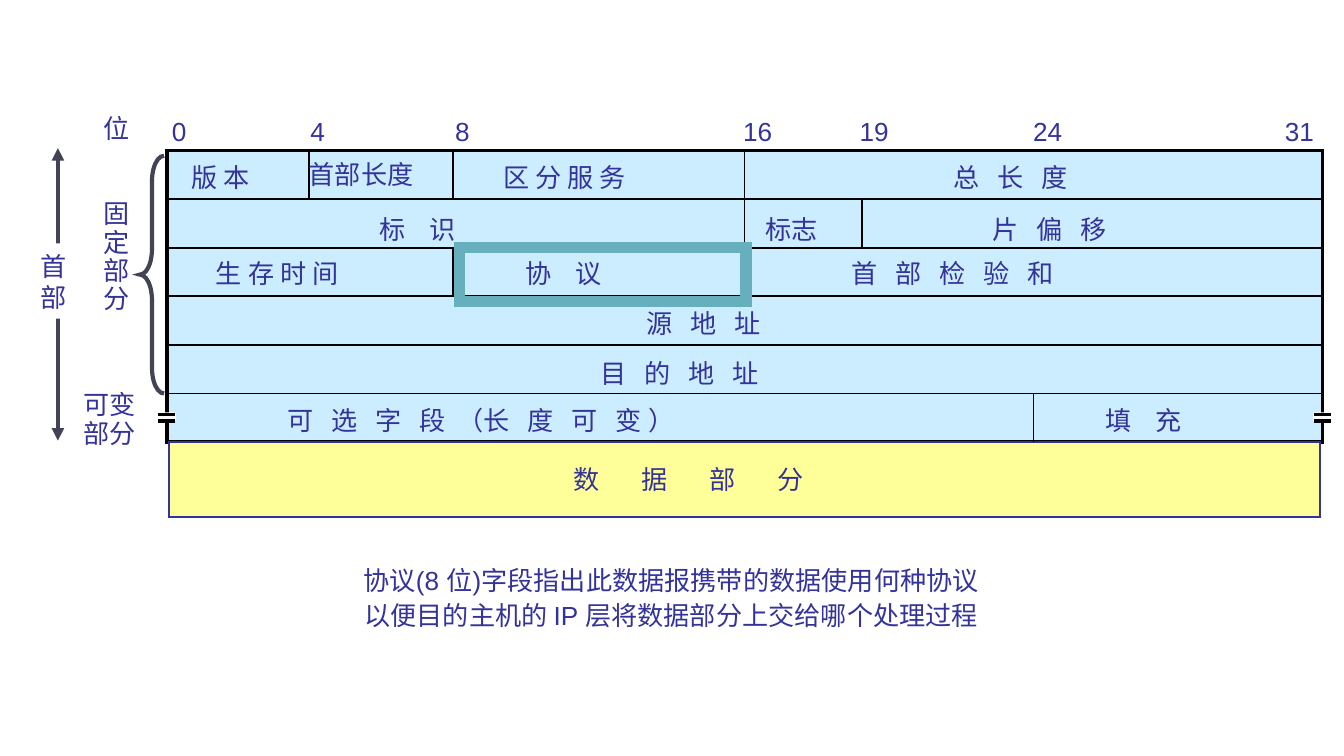
from dataclasses import dataclass
from typing import Optional

from lxml.etree import SubElement
from pptx import Presentation
from pptx.dml.color import RGBColor
from pptx.enum.shapes import MSO_CONNECTOR, MSO_SHAPE
from pptx.enum.text import MSO_ANCHOR, MSO_AUTO_SIZE, PP_ALIGN
from pptx.oxml.ns import qn
from pptx.util import Inches, Pt

COLORS = {
    "text": "333399", "header": "CCECFF", "data": "FFFF99", "grid": "000000",
    "bracket": "424456", "highlight": "67AFBD", "white": "FFFFFF",
}
FONT = {"name": "Arial", "size": Pt(14)}
FRAME = {
    "margin_left": Inches(0.1), "margin_right": Inches(0.1),
    "margin_top": Inches(0.05), "margin_bottom": Inches(0.05),
    "vertical_anchor": MSO_ANCHOR.TOP, "auto_size": MSO_AUTO_SIZE.SHAPE_TO_FIT_TEXT,
}
LEFT, TOP, WIDTH, HEIGHT = 1.24, 1.12, 8.6, 2.17
BITS, ROWS = 32, 6
SPACE_PT = 3.2


@dataclass
class Label:
    text: str
    col: float
    row: float
    cols: float
    rows: float = 0.91
    gap: int = 1
    spacing: float = 1.0
    align: PP_ALIGN = PP_ALIGN.LEFT
    wrap: bool = False
    fill: Optional[str] = None


@dataclass
class Box:
    col: float
    row: float
    cols: float
    rows: float
    fill: Optional[str] = None
    line: Optional[str] = None
    weight: float = 1
    shape: MSO_SHAPE = MSO_SHAPE.RECTANGLE


@dataclass
class Rule:
    col1: float
    row1: float
    col2: float
    row2: float
    color: str = "grid"
    weight: float = 1


LABELS = [
    Label("首\n部", -3.87, 1.91, 1.45, 1.55, fill="white"),
    Label("位", -2.12, -0.91, 1.45),
    Label("固\n定\n部\n分", -2.12, 0.91, 1.45, 2.6, spacing=0.9),
    Label("可变\n部分", -2.68, 4.84, 2.2, 1.44, spacing=0.9),
    Label("版 本", 0.33, 0.08, 2.57),
    Label("首部长度", 3.57, 0.03, 3.65),
    Label("区 分 服 务", 8.97, 0.08, 4.73),
    Label("总 长 度", 21.43, 0.08, 5.1, gap=3),
    Label("标 识", 5.54, 1.16, 3.65, gap=4),
    Label("标志", 16.22, 1.16, 2.2),
    Label("片 偏 移", 22.51, 1.16, 5.1, gap=3),
    Label("生 存 时 间", 1, 2.07, 4.73),
    Label("协 议", 9.56, 2.07, 3.65, gap=4),
    Label("首 部 检 验 和", 18.6, 2.07, 8.71, gap=3),
    Label("源 地 址", 12.91, 3.1, 5.1, gap=3),
    Label("目 的 地 址", 11.65, 4.12, 6.92, gap=3),
    Label("可 选 字 段 （长 度 可 变）", 2.98, 5.09, 15.26, gap=3),
    Label("填 充", 25.64, 5.09, 3.65, gap=4),
    Label("数 据 部 分", 10.9, 6.3, 11.83, gap=7, wrap=True),
    Label("协议(8 位)字段指出此数据报携带的数据使用何种协议\n"
          "以便目的主机的 IP 层将数据部分上交给哪个处理过程",
          4.73, 8.32, 18.49, 1.71, spacing=1.1, align=PP_ALIGN.CENTER),
]
TICKS = {"0": 0.16, "4": 3.99, "8": 8, "16": 15.97, "19": 19.2, "24": 24, "31": 30.97}
LABELS += [Label(text, bit - 0.38, -0.86, 1.15 if len(text) == 1 else 1.56)
           for text, bit in TICKS.items()]


def rgb(name: str) -> RGBColor:
    return RGBColor.from_string(COLORS[name])


def x(col: float) -> int:
    return Inches(LEFT + col * WIDTH / BITS)


def y(row: float) -> int:
    return Inches(TOP + row * HEIGHT / ROWS)


def area(item) -> tuple:
    left, top = x(item.col), y(item.row)
    return left, top, x(item.col + item.cols) - left, y(item.row + item.rows) - top


def draw_box(shapes, box: Box):
    sp = shapes.add_shape(box.shape, *area(box))
    sp.shadow.inherit = False
    if box.fill:
        sp.fill.solid()
        sp.fill.fore_color.rgb = rgb(box.fill)
    else:
        sp.fill.background()
    if box.line:
        sp.line.color.rgb = rgb(box.line)
        sp.line.width = Pt(box.weight)
        SubElement(sp.line._get_or_add_ln(), qn("a:miter"), lim="800000")
    else:
        sp.line.fill.background()
    return sp


def draw_rule(shapes, rule: Rule):
    line = shapes.add_connector(MSO_CONNECTOR.STRAIGHT, x(rule.col1), y(rule.row1),
                                x(rule.col2), y(rule.row2))
    line.line.color.rgb = rgb(rule.color)
    line.line.width = Pt(rule.weight)
    SubElement(line._element.spPr, qn("a:effectLst"))
    return line


def draw_label(shapes, label: Label) -> None:
    sp = shapes.add_textbox(*area(label))
    if label.fill:
        sp.fill.solid()
        sp.fill.fore_color.rgb = rgb(label.fill)
    tf = sp.text_frame
    for name, value in FRAME.items():
        setattr(tf, name, value)
    tf.word_wrap = label.wrap
    for i, text in enumerate(label.text.split("\n")):
        p = tf.add_paragraph() if i else tf.paragraphs[0]
        p.alignment = label.align
        p.line_spacing = label.spacing
        for part in filter(None, text.partition(" （")):
            r = p.add_run()
            r.text = part
            for name, value in FONT.items():
                setattr(r.font, name, value)
            r.font.color.rgb = rgb("text")
            if label.gap > 1 and part != " （":
                spread = round(100 * SPACE_PT * (label.gap - 1) / 2)
                r._r.get_or_add_rPr().set("spc", str(spread))


def draw_break(shapes, col: float) -> None:
    group = shapes.add_group_shape().shapes
    draw_box(group, Box(col - 0.26, 5.39, 0.52, 0.17, fill="white"))
    for row in (5.43, 5.57):
        draw_rule(group, Rule(col - 0.23, row, col + 0.23, row, weight=2))


def main() -> None:
    prs = Presentation()
    prs.slide_width = Inches(10)
    prs.slide_height = prs.slide_width * 9 // 16
    s = prs.slides.add_slide(prs.slide_layouts[6])
    shapes = s.shapes

    extent = draw_rule(shapes, Rule(-3.01, -0.05, -3.01, 5.97, "bracket", 2.25))
    ln = extent.line._get_or_add_ln()
    for end in ("a:headEnd", "a:tailEnd"):
        SubElement(ln, qn(end), type="triangle")

    header = draw_box(shapes, Box(0, 0, BITS, ROWS, "header", "grid", 2))
    draw_box(shapes, Box(0.07, ROWS, BITS - 0.14, 1.55, "data", "text"))

    for row in range(1, ROWS):
        line = draw_rule(shapes, Rule(0, row, BITS, row))
        if row == ROWS / 2:
            line.begin_connect(header, 1)
            line.end_connect(header, 3)
    for bit, first, last in ((3.95, 0, 1), (7.93, 0, 1), (7.93, 2, 3), (16, 0, 3),
                             (19.24, 1, 2), (24, 5, 6)):
        line = draw_rule(shapes, Rule(bit, first, bit, last))
        if bit == BITS / 2:
            line.begin_connect(header, 0)

    for label in LABELS:
        draw_label(shapes, label)
    for col in (0, BITS):
        draw_break(shapes, col)
    draw_box(shapes, Box(8.11, 1.99, 7.93, 1.11, line="highlight", weight=6))
    brace = draw_box(shapes, Box(-0.74, 0.11, 0.67, 4.89, line="bracket", weight=2.25,
                                 shape=MSO_SHAPE.LEFT_BRACE))
    brace.adjustments[0] = 1.05
    prs.save("out.pptx")


if __name__ == "__main__":
    main()
